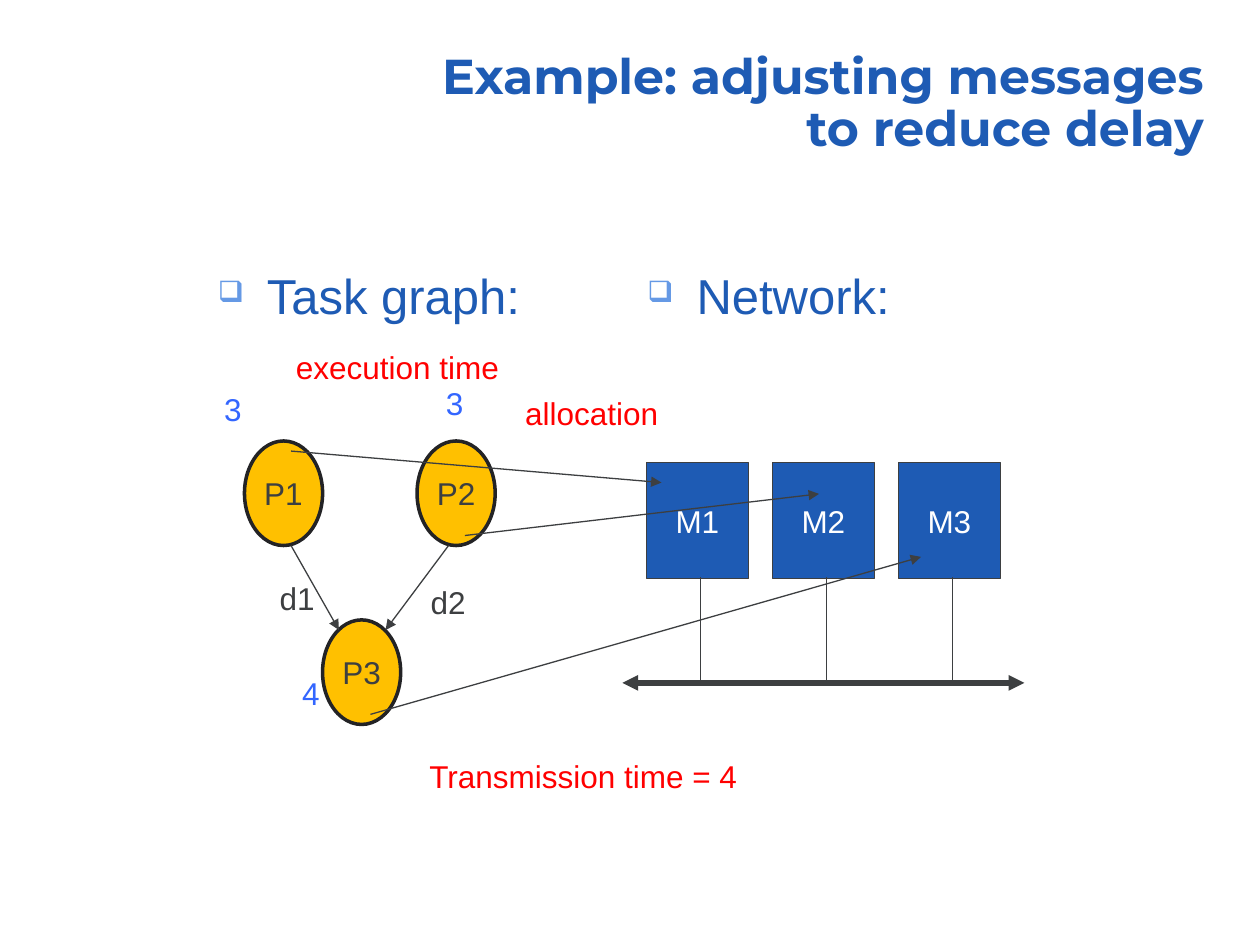
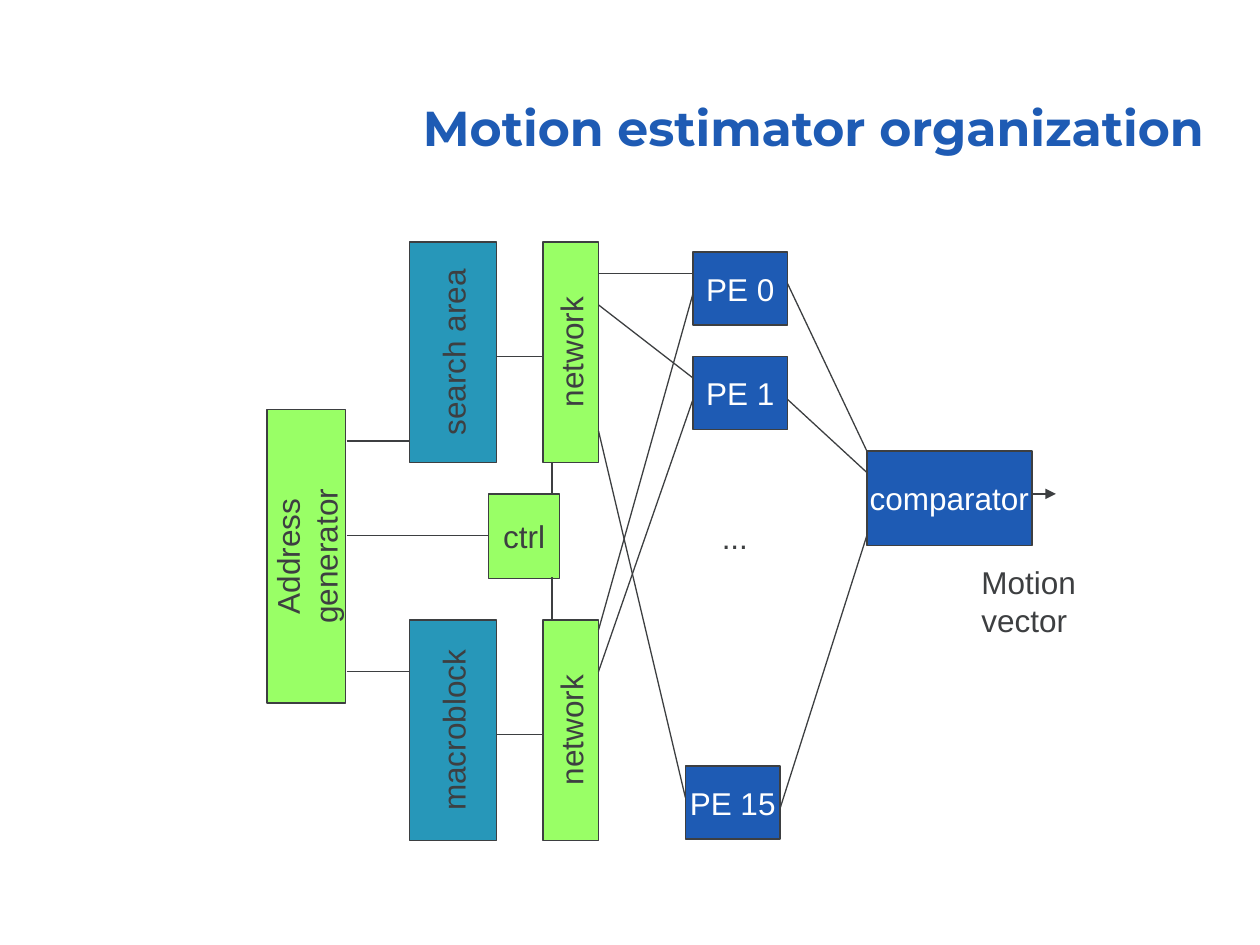
"""Build two slides: a task graph allocated to a network, and a motion estimator block diagram."""
from lxml.etree import SubElement
from pptx import Presentation
from pptx.dml.color import RGBColor
from pptx.enum.shapes import MSO_CONNECTOR, MSO_SHAPE
from pptx.enum.text import MSO_ANCHOR, MSO_AUTO_SIZE, PP_ALIGN
from pptx.oxml.ns import qn
from pptx.util import Inches, Pt

COLORS = {
    "blue": "1E5BB4", "bullet": "6599E5", "ink": "3D3F41", "outline": "232325",
    "gold": "FFC000", "red": "FF0000", "time": "3366FF", "green": "99FF66",
    "teal": "2797B9", "white": "FFFFFF",
}

HEADINGS = [("Task graph:", 1.63), ("Network:", 5.04)]
PROCESSES = [("P1", 1.94, 3.5), ("P2", 3.31, 3.5), ("P3", 2.56, 4.92)]
DEPENDENCIES = [(2.31, 4.33, 2.69, 5), (3.56, 4.33, 3.06, 5)]
MACHINES = ["M1", "M2", "M3"]
BUS_Y = 5.42
ALLOCATIONS = [(2.31, 3.58, 5.25, 3.83), (3.69, 4.25, 6.5, 3.92), (2.94, 5.67, 7.31, 4.42)]
GRAPH_LABELS = [
    ("d1", 2.12, 4.55, 0.48, "ink"),
    ("d2", 3.32, 4.58, 0.48, "ink"),
    ("allocation", 4.07, 3.08, 1.3, "red"),
    ("3", 1.68, 3.05, 0.34, "time"),
    ("4", 2.3, 5.3, 0.34, "time"),
    ("3", 3.44, 3, 0.34, "time"),
    ("execution time", 2.25, 2.71, 1.81, "red"),
    ("Transmission time = 4", 3.31, 5.96, 2.65, "red"),
]

UPRIGHT_BLOCKS = [
    ("Address\ngenerator", (2.12, 3.25, 0.62, 2.33), "green"),
    ("search area", (3.25, 1.92, 0.69, 1.75), "teal"),
    ("macroblock", (3.25, 4.92, 0.69, 1.75), "teal"),
    ("network", (4.31, 1.92, 0.44, 1.75), "green"),
    ("network", (4.31, 4.92, 0.44, 1.75), "green"),
]
ELEMENTS = [("PE 0", 5.5, 2), ("PE 1", 5.5, 2.83), ("PE 15", 5.44, 6.08)]
WIRES = [
    (2.75, 3.5, 3.25, 3.5), (2.75, 5.33, 3.25, 5.33), (2.75, 4.25, 3.88, 4.25),
    (3.94, 2.83, 4.31, 2.83), (3.94, 5.83, 4.31, 5.83),
    (4.38, 3.67, 4.38, 3.92), (4.38, 4.58, 4.38, 4.92),
    (4.75, 2.17, 5.5, 2.17), (4.75, 2.42, 5.5, 3), (4.75, 3.42, 5.44, 6.33),
    (4.75, 5, 5.5, 2.33), (4.75, 5.33, 5.5, 3.17),
    (6.25, 2.25, 6.88, 3.58), (6.25, 3.17, 6.88, 3.75), (6.19, 6.42, 6.88, 4.25),
]


def rgb(name):
    return RGBColor.from_string(COLORS[name])


def add_bullet(p):
    pPr = p._p.get_or_add_pPr()
    pPr.set("marL", str(Inches(0.39)))
    pPr.set("indent", str(-Inches(0.39)))
    SubElement(SubElement(pPr, qn("a:buClr")), qn("a:srgbClr")).set("val", COLORS["bullet"])
    SubElement(pPr, qn("a:buSzPct")).set("val", "60000")
    SubElement(pPr, qn("a:buChar")).set("char", "❑")


def write(tf, text, color="ink", size=18, font="Arial", bold=False, align=PP_ALIGN.LEFT,
          anchor=MSO_ANCHOR.TOP, wrap=False, spacing=None, bullet=False):
    tf.word_wrap = wrap
    tf.vertical_anchor = anchor
    for i, line in enumerate(text.split("\n")):
        p = tf.add_paragraph() if i else tf.paragraphs[0]
        if bullet:
            add_bullet(p)
        p.alignment = align
        p.line_spacing = spacing
        r = p.add_run()
        r.text = line
        r.font.name = font
        r.font.size = Pt(size)
        r.font.bold = bold
        r.font.color.rgb = rgb(color)


def add_text(s, text, x, y, w, h, grow=False, **fmt):
    tf = s.shapes.add_textbox(Inches(x), Inches(y), Inches(w), Inches(h)).text_frame
    write(tf, text, **fmt)
    if grow:
        tf.auto_size = MSO_AUTO_SIZE.SHAPE_TO_FIT_TEXT


def add_block(s, text, box, fill="blue", color="white", kind=MSO_SHAPE.RECTANGLE,
              line="ink", width=0.75, upright=False):
    x, y, w, h = box
    if upright:
        x, y, w, h = x + (w - h) / 2, y + (h - w) / 2, h, w
    sp = s.shapes.add_shape(kind, Inches(x), Inches(y), Inches(w), Inches(h))
    sp.rotation = 270 if upright else 0
    sp.shadow.inherit = False
    sp.fill.solid()
    sp.fill.fore_color.rgb = rgb(fill)
    sp.line.color.rgb = rgb(line)
    sp.line.width = Pt(width)
    write(sp.text_frame, text, color=color, align=PP_ALIGN.CENTER, anchor=MSO_ANCHOR.MIDDLE)


def add_line(s, ends, width=0.75, arrows=()):
    cx = s.shapes.add_connector(MSO_CONNECTOR.STRAIGHT, *(Inches(v) for v in ends))
    cx.line.color.rgb = rgb("ink")
    cx.line.width = Pt(width)
    for end in arrows:
        SubElement(cx.line._get_or_add_ln(), qn(f"a:{end}End")).set("type", "triangle")
    SubElement(cx._element.spPr, qn("a:effectLst"))


def add_slide(prs, title):
    s = prs.slides.add_slide(prs.slide_layouts[6])
    add_text(s, title, 2.94, 0.53, 6.71, 0.77, color="blue", size=28, font="Montserrat",
             bold=True, align=PP_ALIGN.RIGHT, anchor=MSO_ANCHOR.BOTTOM, wrap=True, spacing=0.9)
    return s


def build_task_graph(prs):
    s = add_slide(prs, "Example: adjusting messages to reduce delay")
    for text, x in HEADINGS:
        add_text(s, text, x, 2.06, 3.29, 0.6, color="blue", size=28,
                 align=PP_ALIGN.JUSTIFY, wrap=True, bullet=True)
    for name, x, y in PROCESSES:
        add_block(s, name, (x, y, 0.62, 0.83), fill="gold", color="ink",
                  kind=MSO_SHAPE.OVAL, line="outline", width=2)
    for ends in DEPENDENCIES:
        add_line(s, ends, arrows=["tail"])
    add_line(s, (4.94, BUS_Y, 8.13, BUS_Y), width=3, arrows=["head", "tail"])
    for i, name in enumerate(MACHINES):
        add_block(s, name, (5.13 + i, 3.67, 0.81, 0.92))
        add_line(s, (5.56 + i, 4.58, 5.56 + i, BUS_Y))
    for ends in ALLOCATIONS:
        add_line(s, ends, arrows=["tail"])
    for text, x, y, w, color in GRAPH_LABELS:
        add_text(s, text, x, y, w, 0.4, color=color)


def build_motion_estimator(prs):
    s = add_slide(prs, "Motion estimator organization")
    for text, box, fill in UPRIGHT_BLOCKS:
        add_block(s, text, box, fill=fill, color="ink", upright=True)
    add_block(s, "ctrl", (3.88, 3.92, 0.56, 0.67), fill="green", color="ink")
    for name, x, y in ELEMENTS:
        add_block(s, name, (x, y, 0.75, 0.58))
    add_block(s, "comparator", (6.88, 3.58, 1.31, 0.75))
    for ends in WIRES:
        add_line(s, ends)
    add_line(s, (8.19, 3.92, 8.38, 3.92), arrows=["tail"])
    add_text(s, "Motion\nvector", 7.69, 4.42, 0.95, 0.7, grow=True)
    add_text(s, "...", 5.63, 4.06, 0.71, 0.4, grow=True, wrap=True)


def main():
    prs = Presentation()
    prs.slide_width, prs.slide_height = Inches(10), Inches(7.5)
    build_task_graph(prs)
    build_motion_estimator(prs)
    prs.save("out.pptx")


if __name__ == "__main__":
    main()
